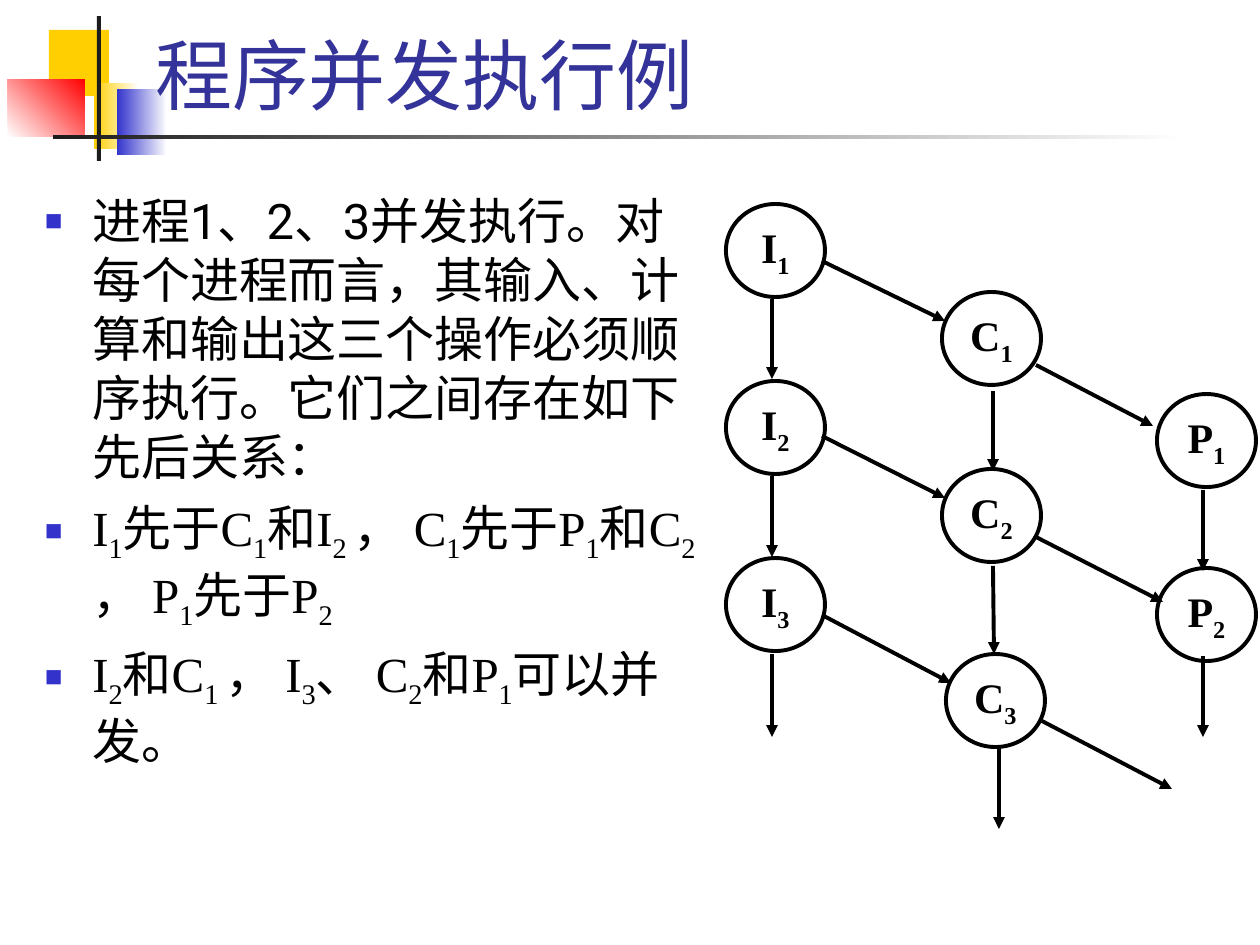
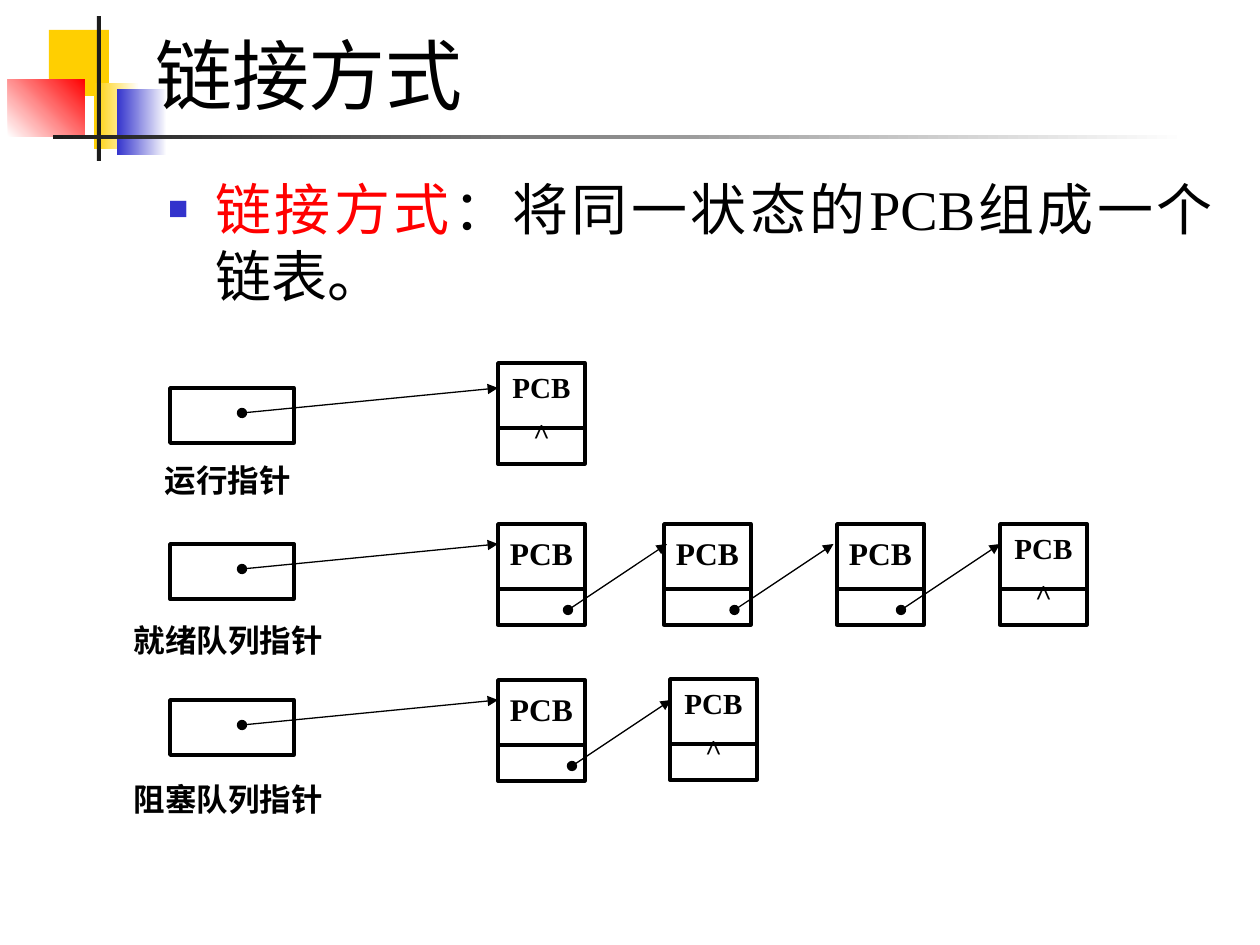
"""Build two slides on concurrent execution order and linked PCB queues."""
from dataclasses import dataclass

from lxml import etree
from pptx import Presentation
from pptx import util as u
from pptx.dml.color import RGBColor
from pptx.enum import shapes, text
from pptx.oxml.ns import qn


@dataclass(frozen=True)
class Theme:
    sans: str = "Roboto"
    serif: str = "Times New Roman"
    black: str = "000000"
    white: str = "FFFFFF"
    navy: str = "333399"
    blue: str = "3333CC"
    red: str = "FF0000"
    gold: str = "FFCF01"
    ink: str = "1C1C1C"
    title: float = 44
    lead: float = 32
    body: float = 28
    node: float = 24
    label: float = 18
    tail_cell: float = 16.6
    thick: float = 2.25
    medium: float = 2
    thin: float = 0.75


T = Theme()
PX = 914400 / 126
SLIDE_SIZE = (1260, 945)
TITLE_BOX = (142, 18, 1074, 108)

EMBLEM = [
    ((49, 30, 60, 66), (T.gold,), 0),
    ((94, 83, 45, 66), (T.gold, T.white), 0),
    ((117, 89, 50, 66), (T.blue, T.white), 0),
    ((8, 79, 77, 58), (T.white, T.red), 45),
    ((97, 16, 4, 145), (T.ink,), 0),
    ((53, 135, 1134, 4), (T.ink, T.white), 0),
]

ORDER_TITLE = "程序并发执行例"
ORDER_BOX = (32, 185, 678, 714)
ORDER_INTRO = "进程1、2、3并发执行。对每个进程而言，其输入、计算和输出这三个操作必须顺序执行。它们之间存在如下先后关系："
ORDER_RULES = [
    "I|1|先于C|1|和I|2 |， C|1|先于P|1|和C|2 |， P|1|先于P|2",
    "I|2|和C|1 |， I|3|、 C|2|和P|1|可以并发。",
]
NODE_SIZE = (99, 93)
NODES = [
    ("I|1", 726, 204), ("I|2", 726, 381), ("I|3", 726, 558),
    ("C|1", 942, 292), ("C|2", 942, 469), ("C|3", 946, 654),
    ("P|1", 1157, 394), ("P|2", 1157, 568),
]
PRECEDENCE = [
    (822, 261, 945, 321), (822, 436, 945, 498), (822, 615, 951, 683),
    (772, 299, 772, 379), (772, 476, 772, 557), (772, 654, 772, 737),
    (993, 391, 993, 471), (993, 566, 994, 654), (999, 748, 999, 829),
    (1036, 365, 1153, 426), (1036, 537, 1163, 602), (1042, 721, 1172, 789),
    (1203, 490, 1203, 571), (1203, 656, 1203, 737),
]

LINK_TITLE = "链接方式"
LINK_BOX = (155, 168, 1071, 181)
LINK_INTRO = "|链接方式|：将同一状态的PCB组成一个链表。"
POINTER_LEFT, POINTER_SIZE = 170, (124, 55)
CELL_SIZE, DIVIDER = (87, 101), 65
LINK_PITCH, LINK_RUN, LINK_RISE = 166.5, 99, 66
QUEUES = [
    dict(label="运行指针", label_box=(165, 461, 139, 50), top=388,
         cells=[(498, 363)], link_left=0),
    dict(label="就绪队列指针", label_box=(134, 621, 198, 69), top=544,
         cells=[(498, 524), (664, 524), (837, 524), (1000, 524)], link_left=568),
    dict(label="阻塞队列指针", label_box=(134, 780, 198, 50), top=700,
         cells=[(498, 680), (670, 679)], link_left=572),
]


def emu(*lengths):
    return [u.Emu(round(length * PX)) for length in lengths]


def rgb(code):
    return RGBColor.from_string(code)


def place(part, box):
    part.left, part.top, part.width, part.height = emu(*box)


def add_bullet(paragraph):
    props = paragraph._p.get_or_add_pPr()
    color = etree.SubElement(props, qn("a:buClr"))
    etree.SubElement(color, qn("a:srgbClr"), val=T.blue)
    etree.SubElement(props, qn("a:buSzPct"), val="60000")
    etree.SubElement(props, qn("a:buFont"), typeface=T.serif)
    etree.SubElement(props, qn("a:buChar"), char="■")


def write(frame, content, *, size, font=T.serif, color=T.black, bold=False,
          align="LEFT", bullet=False, before=0, spacing=None, accent=None,
          first=True):
    """Add a paragraph; segments between bars are subscript or accent coloured."""
    paragraph = frame.paragraphs[0] if first else frame.add_paragraph()
    if bullet:
        add_bullet(paragraph)
    paragraph.alignment = getattr(text.PP_ALIGN, align)
    paragraph.space_before = u.Pt(before)
    if spacing:
        paragraph.line_spacing = spacing
    for index, segment in enumerate(content.split("|")):
        if not segment:
            continue
        marked = index % 2 == 1
        run = paragraph.add_run()
        run.text = segment
        run.font.size, run.font.name, run.font.bold = u.Pt(size), font, bold
        run.font.color.rgb = rgb(accent if marked and accent else color)
        if marked and not accent:
            run._r.get_or_add_rPr().set("baseline", "-25000")


def set_frame(frame, anchor="TOP", margins=(0, 0, 0, 0)):
    frame.word_wrap = True
    frame.auto_size = text.MSO_AUTO_SIZE.NONE
    frame.vertical_anchor = getattr(text.MSO_ANCHOR, anchor)
    (frame.margin_left, frame.margin_top,
     frame.margin_right, frame.margin_bottom) = emu(*margins)


def add_part(slide, box, kind="RECTANGLE", fill=(T.white,), angle=0, width=0):
    part = slide.shapes.add_shape(getattr(shapes.MSO_SHAPE, kind), *emu(*box))
    part.shadow.inherit = False
    if len(fill) == 1:
        part.fill.solid()
        part.fill.fore_color.rgb = rgb(fill[0])
    else:
        part.fill.gradient()
        part.fill.gradient_angle = angle
        for stop, code in zip(part.fill.gradient_stops, fill):
            stop.color.rgb = rgb(code)
    if width:
        part.line.color.rgb = rgb(T.black)
        part.line.width = u.Pt(width)
    else:
        part.line.fill.background()
    return part


def add_line(slide, ends, width, head=None, tail=None):
    line = slide.shapes.add_connector(shapes.MSO_CONNECTOR.STRAIGHT, *emu(*ends))
    line.line.color.rgb = rgb(T.black)
    line.line.width = u.Pt(width)
    for tag, tip in (("a:headEnd", head), ("a:tailEnd", tail)):
        if tip:
            etree.SubElement(line.line._get_or_add_ln(), qn(tag), type=tip)
    etree.SubElement(line._element.spPr, qn("a:effectLst"))


def add_page(deck, layout, heading, body_box, **title_format):
    slide = deck.slides.add_slide(layout)
    title, body = slide.placeholders
    place(title, TITLE_BOX)
    set_frame(title.text_frame, "BOTTOM", (13, 6, 13, 6))
    write(title.text_frame, heading, size=T.title, **title_format)
    place(body, body_box)
    set_frame(body.text_frame, "TOP", (13, 6, 13, 6))
    return slide, body.text_frame


def move_emblem_to_layout(slide, layout):
    for footer in list(layout.placeholders)[2:]:
        footer.element.getparent().remove(footer.element)
    emblem = [add_part(slide, box, fill=fill, angle=angle)
              for box, fill, angle in EMBLEM]
    for part in emblem:
        layout.shapes.element.append(part.element)


def draw_order(slide, body):
    write(body, ORDER_INTRO, size=T.body, font=T.sans, bullet=True)
    for rule in ORDER_RULES:
        write(body, rule, size=T.body, bullet=True, before=7, first=False)
    for name, left, top in NODES:
        node = add_part(slide, (left, top, *NODE_SIZE), "OVAL", width=T.thick)
        set_frame(node.text_frame, "MIDDLE")
        write(node.text_frame, name, size=T.node, bold=True, align="CENTER")
    for ends in PRECEDENCE:
        add_line(slide, ends, T.thick, tail="triangle")


def draw_cell(slide, left, top, is_last):
    cell = add_part(slide, (left, top, *CELL_SIZE), width=T.medium)
    set_frame(cell.text_frame, "TOP", (3, 10, 3, 1))
    style = dict(bold=True, align="CENTER")
    if is_last:
        style.update(size=T.tail_cell, spacing=0.9)
        write(cell.text_frame, "PCB", **style)
        write(cell.text_frame, "^", before=8.6, first=False, **style)
    else:
        write(cell.text_frame, "PCB", size=T.label, **style)
    add_line(slide, (left, top + DIVIDER, left + CELL_SIZE[0], top + DIVIDER),
             T.medium)


def draw_queue(slide, label, label_box, top, cells, link_left):
    add_part(slide, (POINTER_LEFT, top, *POINTER_SIZE), width=T.medium)
    caption = slide.shapes.add_textbox(*emu(*label_box)).text_frame
    set_frame(caption)
    write(caption, label, size=T.label, bold=True, align="JUSTIFY")
    for cell in cells:
        draw_cell(slide, *cell, is_last=cell == cells[-1])
    links = [(242, top + 25, cells[0][0], top)]
    for index in range(len(cells) - 1):
        start = link_left + index * LINK_PITCH
        links.append((start, top + LINK_RISE, start + LINK_RUN, top))
    for ends in links:
        add_line(slide, ends, T.thin, head="oval", tail="triangle")


def main():
    deck = Presentation()
    deck.slide_width, deck.slide_height = emu(*SLIDE_SIZE)
    layout = deck.slide_layouts[1]

    order, order_body = add_page(deck, layout, ORDER_TITLE, ORDER_BOX,
                                 font=T.sans, color=T.navy)
    move_emblem_to_layout(order, layout)
    draw_order(order, order_body)

    linked, linked_body = add_page(deck, layout, LINK_TITLE, LINK_BOX)
    write(linked_body, LINK_INTRO, size=T.lead, align="JUSTIFY", bullet=True,
          accent=T.red)
    for queue in QUEUES:
        draw_queue(linked, **queue)

    deck.save("out.pptx")


if __name__ == "__main__":
    main()
